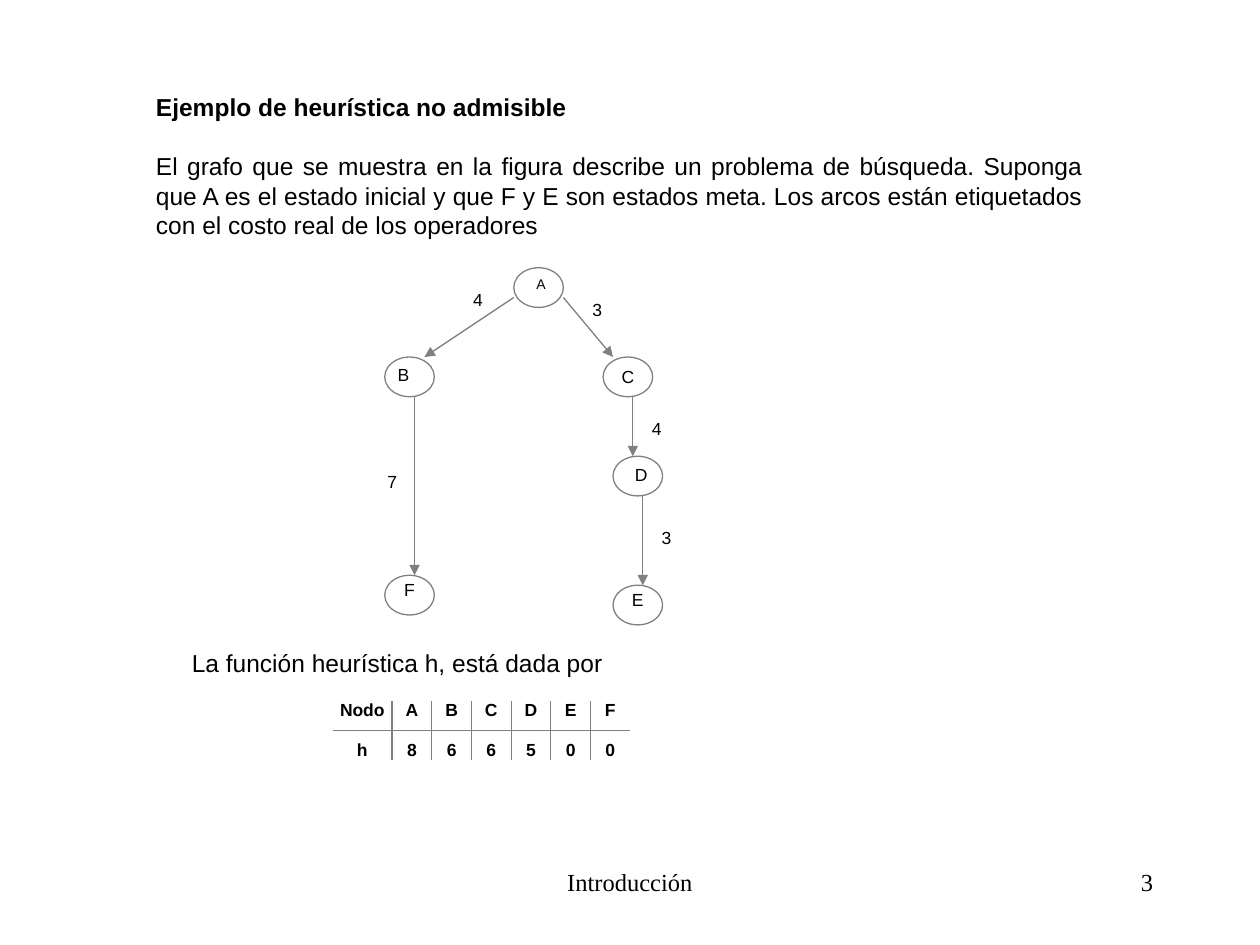
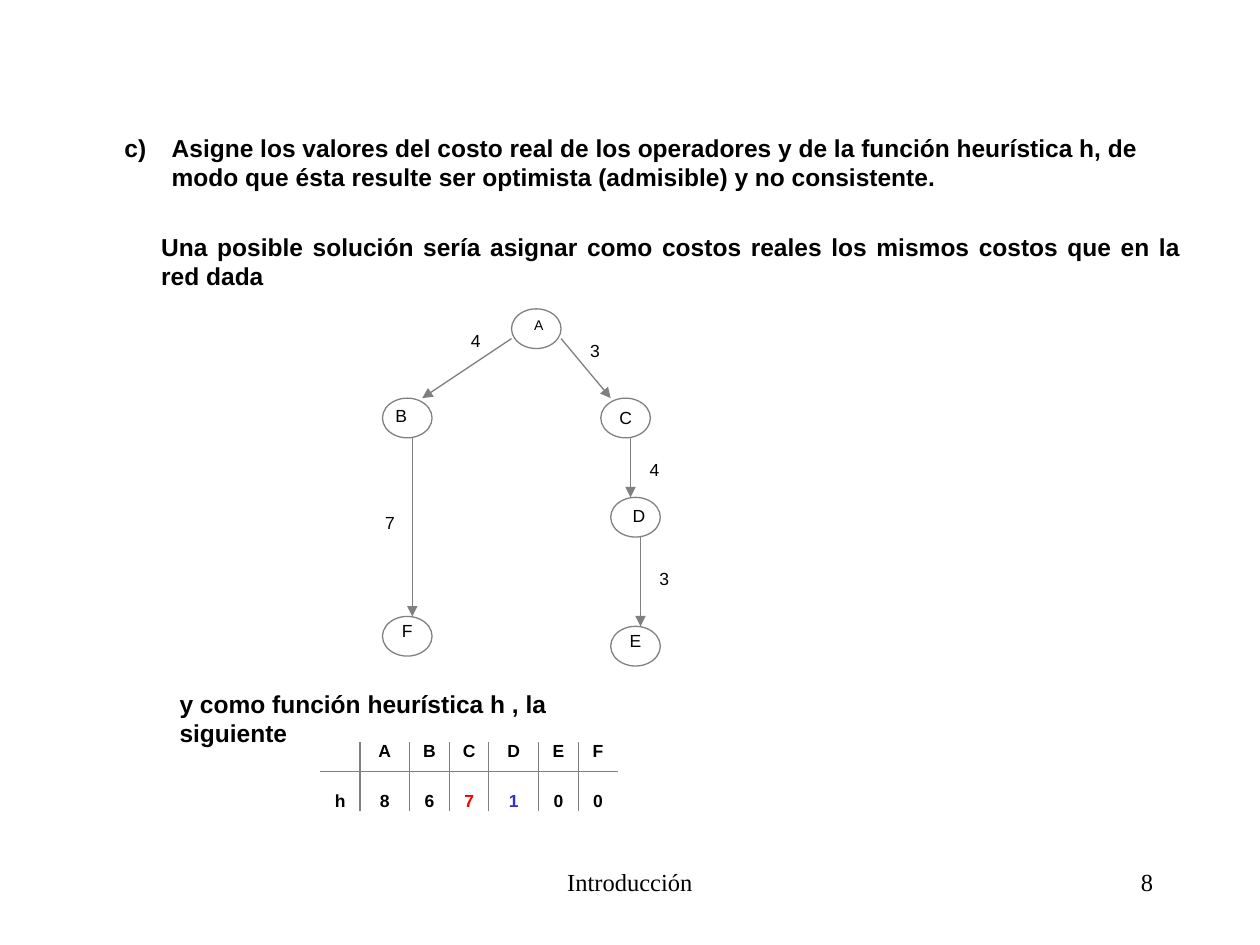
from dataclasses import dataclass, field

import pptx
import pptx.dml.color
import pptx.enum.shapes
import pptx.enum.text
import pptx.oxml.ns
import pptx.util
from lxml import etree

Pt = pptx.util.Pt
RGB = pptx.dml.color.RGBColor
ALIGN = pptx.enum.text.PP_ALIGN
ANCHOR = pptx.enum.text.MSO_ANCHOR
qn = pptx.oxml.ns.qn


# Theme
@dataclass(frozen=True)
class Theme:
    ink: str = "000000"
    rule: str = "808080"
    changed: str = "FF0000"
    lowered: str = "3333CC"
    sans: str = "Arial"
    serif: str = "Times New Roman"
    body: float = 14
    label: float = 10
    small: float = 8
    rule_width: float = 0.75
    grid: float = 5.67  # grid step of graphs and tables


THEME = Theme()


@dataclass(frozen=True)
class Line:
    text: str
    size: float = THEME.body
    bold: bool = False
    color: str = THEME.ink
    font: str = THEME.sans
    align: ALIGN = ALIGN.LEFT
    before: float = 0
    number: int = 0  # position in an a), b), c) list; 0 for none


# Graph, in grid steps from the corner of the root node; label shifts in points
@dataclass(frozen=True)
class Node:
    name: str
    x: float
    y: float
    shift_x: float = 0
    shift_y: float = 0
    size: float = THEME.label


@dataclass(frozen=True)
class Arc:
    start: tuple[float, float]
    end: tuple[float, float]
    cost: str
    cost_center: tuple[float, float]


NODE_WIDTH, NODE_HEIGHT = 5, 4
COST_BOX = 20

NODES = [
    Node("A", 0, 0, 1.5, -2.3, THEME.small),
    Node("B", -13, 9, -3.5, -1.5),
    Node("C", 9, 9),
    Node("D", 10, 19, 2, -1),
    Node("E", 10, 32, 0, -3.4),
    Node("F", -13, 31, 0, -3.4),
]
ARCS = [
    Arc((0, 3), (-9, 9), "4", (-3.6, 3.25)),
    Arc((5, 3), (10, 9), "3", (8.4, 4.25)),
    Arc((-10, 13), (-10, 31), "7", (-12.25, 21.65)),
    Arc((12, 13), (12, 19), "4", (14.4, 16.3)),
    Arc((13, 23), (13, 32), "3", (15.4, 27.25)),
]


@dataclass(frozen=True)
class HeuristicTable:
    left: float
    top: float
    widths: list[int]  # grid steps
    heights: list[int]  # grid steps
    rows: list[list[str]]
    value_colors: dict[int, str] = field(default_factory=dict)


# Text
def write_line(para, line: Line) -> None:
    if line.number:
        props = para._p.get_or_add_pPr()
        props.set("marL", str(Pt(27)))
        props.set("indent", str(-Pt(27)))
        etree.SubElement(props, qn("a:buAutoNum"), type="alphaLcParenR",
                         startAt=str(line.number))
    para.alignment = line.align
    if line.before:
        para.space_before = Pt(line.before)
    para.font.name = line.font
    para.font.size = Pt(line.size)
    para.font.bold = line.bold
    para.font.color.rgb = RGB.from_string(line.color)
    if line.text:
        para.add_run().text = line.text
    else:  # keeps an empty cell as low as the others
        etree.SubElement(para._p, qn("a:endParaRPr"), sz=str(int(line.size * 100)))


def add_text(page, left: float, top: float, width: float, height: float,
             *lines: Line, wrap: bool = True) -> None:
    box = page.shapes.add_textbox(Pt(left), Pt(top), Pt(width), Pt(height))
    box.text_frame.word_wrap = wrap
    for index, line in enumerate(lines):
        para = box.text_frame.add_paragraph() if index else box.text_frame.paragraphs[0]
        write_line(para, line)


def add_footer(page, number: int) -> None:
    for left, width, text, align in ((246, 228, "Introducción", ALIGN.CENTER),
                                     (516, 150, str(number), ALIGN.RIGHT)):
        add_text(page, left, 492, width, 36, Line(text, font=THEME.serif, align=align))


# Graph
def style_rule(line) -> None:
    line.color.rgb = RGB.from_string(THEME.rule)
    line.width = Pt(THEME.rule_width)


def add_node(page, node: Node, left: float, top: float) -> None:
    oval = page.shapes.add_shape(
        pptx.enum.shapes.MSO_SHAPE.OVAL,
        Pt(left + node.x * THEME.grid), Pt(top + node.y * THEME.grid),
        Pt(NODE_WIDTH * THEME.grid), Pt(NODE_HEIGHT * THEME.grid))
    oval.shadow.inherit = False
    oval.fill.background()
    style_rule(oval.line)
    frame = oval.text_frame
    frame.word_wrap = True
    frame.vertical_anchor = ANCHOR.MIDDLE
    frame.margin_left = Pt(max(0, 2 * node.shift_x))
    frame.margin_right = Pt(max(0, -2 * node.shift_x))
    frame.margin_top = Pt(max(0, 2 * node.shift_y))
    frame.margin_bottom = Pt(max(0, -2 * node.shift_y))
    write_line(frame.paragraphs[0], Line(node.name, node.size, align=ALIGN.CENTER))


def add_arc(page, arc: Arc, left: float, top: float) -> None:
    ends = [Pt(origin + step * THEME.grid)
            for point in (arc.start, arc.end)
            for origin, step in zip((left, top), point)]
    arrow = page.shapes.add_connector(pptx.enum.shapes.MSO_CONNECTOR.STRAIGHT, *ends)
    style_rule(arrow.line)
    etree.SubElement(arrow.line._get_or_add_ln(), qn("a:tailEnd"), type="triangle")
    etree.SubElement(arrow._element.spPr, qn("a:effectLst"))
    x, y = arc.cost_center
    add_text(page, left + x * THEME.grid - COST_BOX / 2, top + y * THEME.grid - COST_BOX / 2,
             COST_BOX, COST_BOX, Line(arc.cost, THEME.label, align=ALIGN.CENTER), wrap=False)


def add_graph(page, left: float, top: float) -> None:
    for node in NODES:
        add_node(page, node, left, top)
    for arc in ARCS:
        add_arc(page, arc, left, top)


# Table with inner rules only
def set_borders(cell, shown: dict[str, bool]) -> None:
    props = cell._tc.get_or_add_tcPr()
    for side, visible in shown.items():
        border = etree.SubElement(props, qn(f"a:ln{side}"), w=str(Pt(THEME.rule_width)))
        if visible:
            fill = etree.SubElement(border, qn("a:solidFill"))
            etree.SubElement(fill, qn("a:srgbClr"), val=THEME.rule)
        else:
            etree.SubElement(border, qn("a:noFill"))


def add_heuristic_table(page, data: HeuristicTable) -> None:
    last_row, last_column = len(data.heights) - 1, len(data.widths) - 1
    table = page.shapes.add_table(
        len(data.heights), len(data.widths), Pt(data.left), Pt(data.top),
        Pt(sum(data.widths) * THEME.grid), Pt(sum(data.heights) * THEME.grid)).table
    table.first_row = table.horz_banding = False
    for column, steps in zip(table.columns, data.widths):
        column.width = Pt(steps * THEME.grid)
    for row, steps in zip(table.rows, data.heights):
        row.height = Pt(steps * THEME.grid)
    for r, texts in enumerate(data.rows):
        for c, text in enumerate(texts):
            cell = table.cell(r, c)
            set_borders(cell, {"L": c > 0, "R": c < last_column,
                               "T": r > 0, "B": r < last_row})
            cell.fill.background()
            cell.margin_left = cell.margin_right = cell.margin_top = cell.margin_bottom = 0
            cell.vertical_anchor = ANCHOR.BOTTOM if r else ANCHOR.TOP
            color = data.value_colors.get(c, THEME.ink) if r else THEME.ink
            write_line(cell.text_frame.paragraphs[0],
                       Line(text, THEME.label, True, color, align=ALIGN.CENTER))


# Slides
def build_inadmissible(page) -> None:
    add_footer(page, 3)
    add_text(page, 82, 49, 544, 91.5,
             Line("Ejemplo de heurística no admisible", bold=True, align=ALIGN.JUSTIFY),
             Line("El grafo que se muestra en la figura describe un problema de búsqueda. "
                  "Suponga que A es el estado inicial y que F y E son estados meta. "
                  "Los arcos están etiquetados con el costo real de los operadores",
                  align=ALIGN.JUSTIFY, before=17))
    add_graph(page, 293.6, 153)
    add_text(page, 102.5, 366.5, 253, 24.5,
             Line("La función heurística h, está dada por"), wrap=False)
    add_heuristic_table(page, HeuristicTable(
        190, 400.5, [6, 4, 4, 4, 4, 4, 4], [3, 3],
        [["Nodo", *"ABCDEF"], ["h", *"866500"]]))


def build_inconsistent(page) -> None:
    add_footer(page, 8)
    add_text(page, 64, 72.5, 613, 66,
             Line("Asigne los valores del costo real de los operadores y de la función "
                  "heurística h, de modo que ésta resulte ser optimista (admisible) "
                  "y no consistente.", bold=True, number=3))
    add_text(page, 85, 129, 597, 41,
             Line("Una posible solución sería asignar como costos reales los mismos "
                  "costos que en la red dada", bold=True, align=ALIGN.JUSTIFY))
    add_graph(page, 292.3, 176.5)
    add_text(page, 95.5, 390, 289, 24.5,
             Line("y como función heurística h , la siguiente", bold=True), wrap=False)
    add_heuristic_table(page, HeuristicTable(
        183, 424, [4, 5, 4, 4, 5, 4, 4], [3, 4],
        [["", *"ABCDEF"], ["h", *"867100"]],
        {3: THEME.changed, 4: THEME.lowered}))


def main() -> None:
    deck = pptx.Presentation()
    deck.slide_width, deck.slide_height = Pt(720), Pt(540)
    for build in (build_inadmissible, build_inconsistent):
        build(deck.slides.add_slide(deck.slide_layouts[6]))
    deck.save("out.pptx")


if __name__ == "__main__":
    main()
